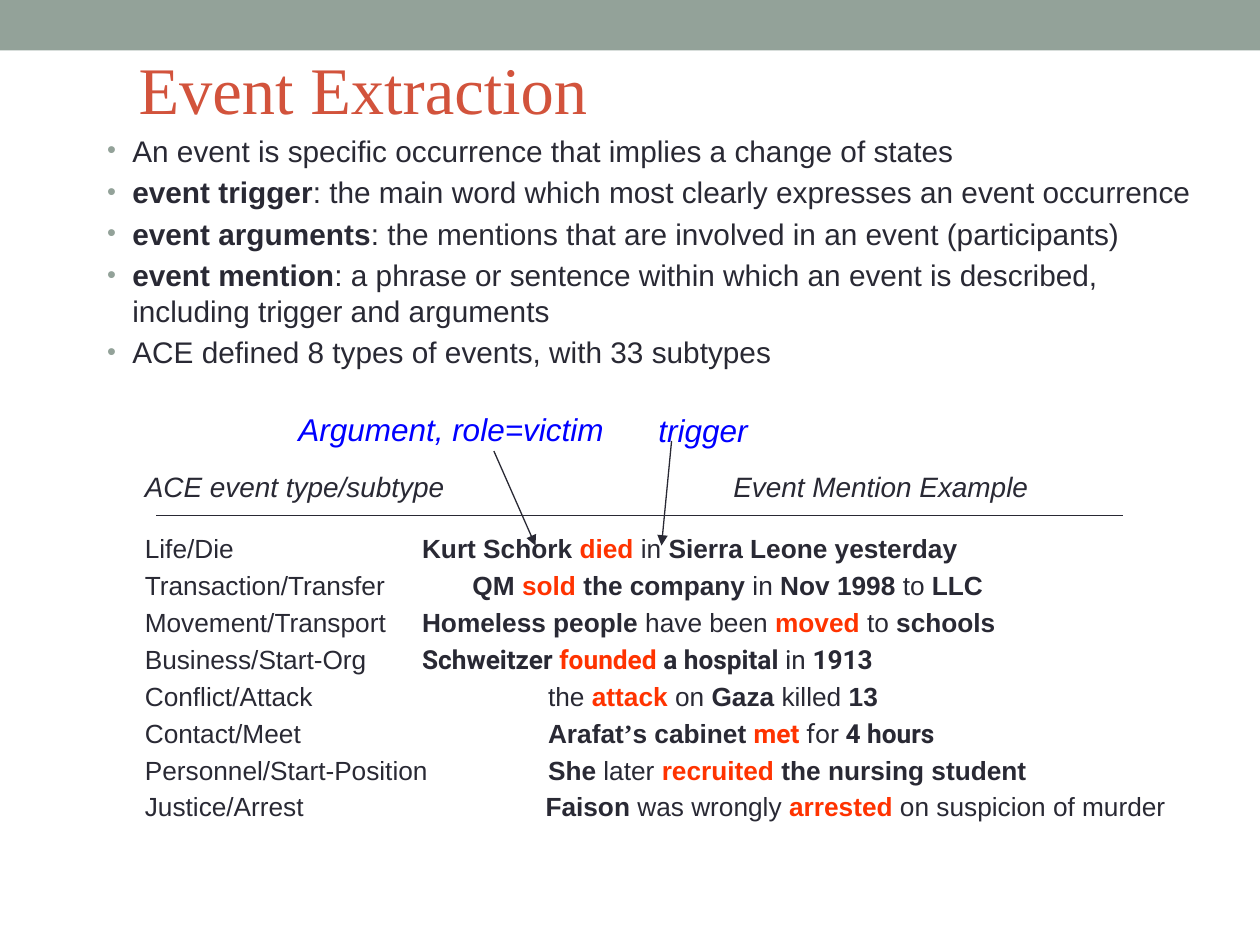
from lxml import etree
from pptx import Presentation
from pptx.dml.color import RGBColor
from pptx.enum.shapes import MSO_CONNECTOR as CONN, MSO_SHAPE as SHAPE
from pptx.enum.text import MSO_ANCHOR as ANCHOR, MSO_AUTO_SIZE as AUTO, PP_ALIGN as ALIGN
from pptx.oxml.ns import qn
from pptx.util import Inches, Pt

INK, SAGE, RUST, RED, BLUE = "292934", "93A299", "D2533C", "FF3300", "0000FF"
N, B, R = {}, {"bold": True}, {"bold": True, "color": RED}
RN, RB, RR = ({**style, "font": "Roboto"} for style in (N, B, R))

BULLETS = [
    [("An event is specific occurrence that implies a change of states", N)],
    [("event trigger", B),
     (": the main word which most clearly expresses an event occurrence", N)],
    [("event arguments", B),
     (": the mentions that are involved in an event (participants)", N)],
    [("event mention", B),
     (": a phrase or sentence within which an event is described, "
      "including trigger and arguments", N)],
    [("ACE defined 8 types of events, with 33 subtypes", N)],
]

EXAMPLES = [
    ("Life/Die", 2.2, [("Kurt Schork ", B), ("died", R), (" in ", N),
                       ("Sierra Leone yesterday", B)]),
    ("Transaction/Transfer", 2.6, [("QM ", B), ("sold ", R), ("the company", B), (" in ", N),
                                   ("Nov 1998", B), (" to ", N), ("LLC", B)]),
    ("Movement/Transport", 2.2, [("Homeless people", B), (" have been ", N), ("moved", R),
                                 (" to", N), (" schools", B)]),
    ("Business/Start-Org", 2.2, [("Schweitzer ", RB), ("founded ", RR), ("a hospital", RB),
                                 (" in ", RN), ("1913", RB)]),
    ("Conflict/Attack", 3.2, [("the ", N), ("attack", R), (" on ", N), ("Gaza", B),
                              (" killed ", N), ("13", B)]),
    ("Contact/Meet", 3.2, [("Arafat", B), ("’", {**B, "font": "Times New Roman"}),
                           ("s cabinet ", B), ("met", RR), (" for ", RN), ("4 hours", RB)]),
    ("Personnel/Start-Position", 3.2, [("She", B), (" later", N), (" recruited ", R),
                                       ("the nursing student", B)]),
    ("Justice/Arrest", 3.18, [("Faison", B), (" was wrongly ", N), ("arrested", R),
                              (" on suspicion of murder", N)]),
]


def rgb(value):
    """Return the colour for a hex string."""
    return RGBColor.from_string(value)


def add_run(p, text, size=15, font="Arial", color=INK, bold=False, italic=False):
    """Add one formatted run to a paragraph."""
    r = p.add_run()
    r.text = text
    r.font.size, r.font.name = Pt(size), font
    r.font.bold, r.font.italic = bold, italic
    r.font.color.rgb = rgb(color)


def next_paragraph(tf, index, before):
    """Return the paragraph at index, with space before all but the first."""
    p = tf.add_paragraph() if index else tf.paragraphs[0]
    p.space_before = Pt(before if index else 0)
    return p


def place(sp, left, top, width, height):
    """Move and size a shape, lengths in inches."""
    sp.left, sp.top = Inches(left), Inches(top)
    sp.width, sp.height = Inches(width), Inches(height)


def add_bar(s):
    """Draw the band across the top."""
    sp = s.shapes.add_shape(SHAPE.RECTANGLE, 0, 0, Inches(10), Inches(0.4))
    sp.shadow.inherit = False
    sp.fill.solid()
    sp.fill.fore_color.rgb = rgb(SAGE)
    sp.line.fill.background()


def fill_title(sp, text):
    """Format and fill the title placeholder."""
    place(sp, 1, 0.33, 9, 1.25)
    tf = sp.text_frame
    tf.auto_size, tf.vertical_anchor = AUTO.NONE, ANCHOR.TOP
    p = tf.paragraphs[0]
    p.alignment = ALIGN.LEFT
    add_run(p, text, size=38, font="Times New Roman", color=RUST)


def set_bullet(p):
    """Give a paragraph a small coloured bullet with a hanging indent."""
    pPr = p._p.get_or_add_pPr()
    pPr.set("marL", str(Inches(0.2)))
    pPr.set("indent", str(Inches(-0.2)))
    clr = etree.SubElement(pPr, qn("a:buClr"))
    etree.SubElement(clr, qn("a:srgbClr"), val=SAGE)
    etree.SubElement(pPr, qn("a:buSzPct"), val="85000")
    etree.SubElement(pPr, qn("a:buFont"), typeface="Arial")
    etree.SubElement(pPr, qn("a:buChar"), char="•")


def fill_body(sp, items):
    """Format and fill the body placeholder with bullets."""
    place(sp, 0.75, 1, 9, 6.06)
    tf = sp.text_frame
    tf.auto_size, tf.vertical_anchor = AUTO.NONE, ANCHOR.TOP
    for i, runs in enumerate(items):
        p = next_paragraph(tf, i, 3.3)
        set_bullet(p)
        for text, style in runs:
            add_run(p, text, size=17, **style)


def set_tab(p, pos):
    """Set one left tab stop, in inches."""
    tabs = etree.SubElement(p._p.get_or_add_pPr(), qn("a:tabLst"))
    etree.SubElement(tabs, qn("a:tab"), pos=str(Inches(pos)), algn="l")


def add_examples(s, rows):
    """Add the header and the tabbed rows of event examples."""
    sp = s.shapes.add_textbox(Inches(1.15), Inches(3.73), Inches(8.6), Inches(3))
    tf = sp.text_frame
    tf.word_wrap = True
    tf.margin_left = tf.margin_right = tf.margin_top = tf.margin_bottom = 0
    head = {"size": 16, "italic": True}
    header = ("ACE event type/subtype", 4.67, [("Event Mention Example", head)])
    for i, (kind, tab, runs) in enumerate([header, *rows]):
        p = next_paragraph(tf, i, 16.5 if i == 1 else 3.1)
        set_tab(p, tab)
        add_run(p, kind + "\t", **(N if i else head))
        for text, style in runs:
            add_run(p, text, **style)


def add_label(s, text, left, top, width):
    """Add a centred blue label."""
    sp = s.shapes.add_textbox(Inches(left), Inches(top), Inches(width), Inches(0.33))
    tf = sp.text_frame
    tf.word_wrap, tf.vertical_anchor = False, ANCHOR.MIDDLE
    p = tf.paragraphs[0]
    p.alignment = ALIGN.CENTER
    add_run(p, text, size=18, color=BLUE, italic=True)


def add_line(s, x1, y1, x2, y2, arrow=False):
    """Add a thin line, with an arrowhead at its end if asked."""
    c = s.shapes.add_connector(CONN.STRAIGHT, Inches(x1), Inches(y1), Inches(x2), Inches(y2))
    c.line.color.rgb = rgb(INK)
    c.line.width = Pt(0.75)
    if arrow:
        etree.SubElement(c.line._get_or_add_ln(), qn("a:tailEnd"), type="triangle")
    etree.SubElement(c._element.spPr, qn("a:effectLst"))


def main():
    """Build the slide and save it."""
    prs = Presentation()
    prs.slide_width, prs.slide_height = Inches(10), Inches(7.5)
    s = prs.slides.add_slide(prs.slide_layouts[1])
    add_bar(s)
    fill_body(s.placeholders[1], BULLETS)
    fill_title(s.shapes.title, "Event Extraction")
    add_examples(s, EXAMPLES)
    add_line(s, 1.24, 4.09, 8.91, 4.09)
    add_label(s, "trigger", 5.08, 3.25, 1)
    add_label(s, "Argument, role=victim", 2.23, 3.24, 2.7)
    add_line(s, 5.33, 3.5, 5.25, 4.33, arrow=True)
    add_line(s, 3.92, 3.58, 4.25, 4.33, arrow=True)
    prs.save("out.pptx")


if __name__ == "__main__":
    main()
